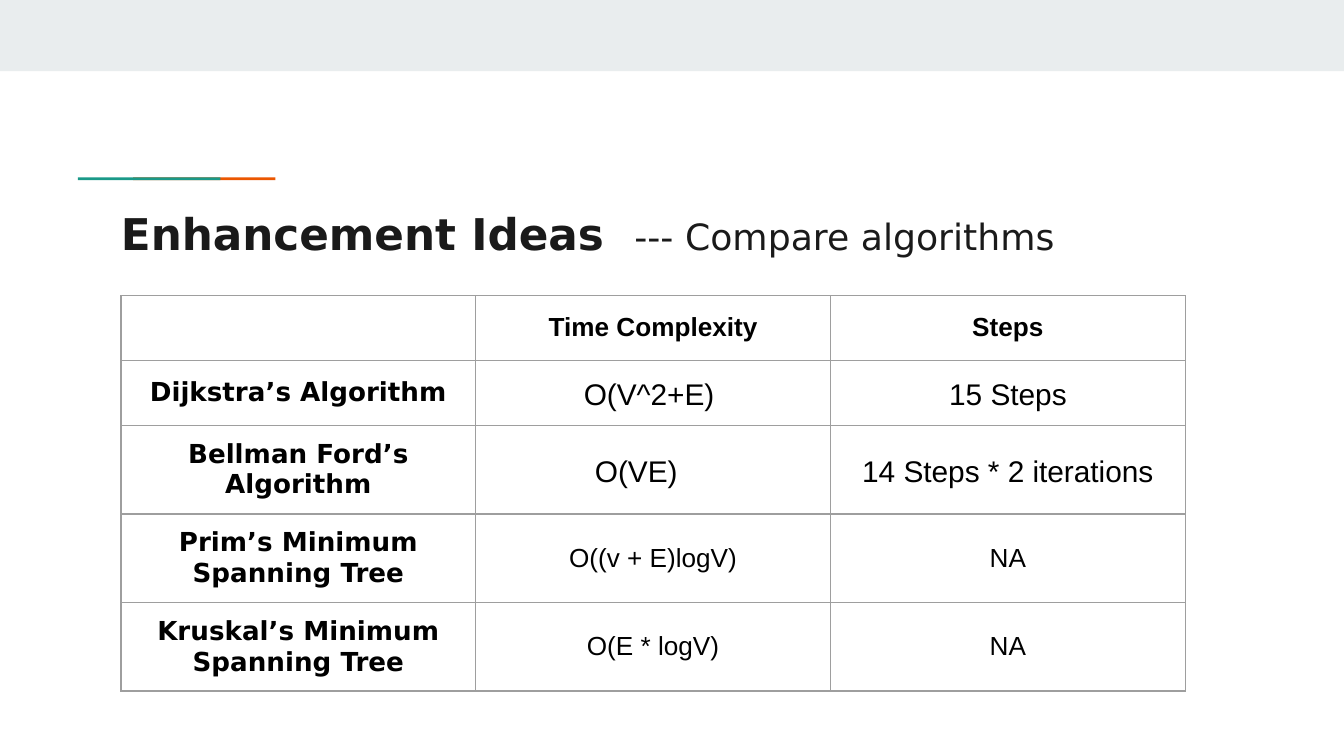
from lxml import etree
from pptx import Presentation
from pptx.dml.color import RGBColor
from pptx.enum.shapes import MSO_SHAPE
from pptx.enum.text import MSO_ANCHOR, MSO_AUTO_SIZE, PP_ALIGN
from pptx.oxml.ns import qn
from pptx.util import Inches, Pt

RECTANGLE = MSO_SHAPE.RECTANGLE
MIDDLE, TOP = MSO_ANCHOR.MIDDLE, MSO_ANCHOR.TOP
CENTER, LEFT = PP_ALIGN.CENTER, PP_ALIGN.LEFT
NO_AUTOFIT = MSO_AUTO_SIZE.NONE
TITLE_ONLY = 5
SLIDE_WIDTH = 10

HEADERS = ["", "Time Complexity", "Steps"]
ALGORITHMS = [
    ("Dijkstra’s Algorithm", "O(V^2+E)", "15 Steps"),
    ("Bellman Ford’s Algorithm", "O(VE)", "14 Steps * 2 iterations"),
    ("Prim’s Minimum Spanning Tree", "O((v + E)logV)", "NA"),
    ("Kruskal’s Minimum Spanning Tree", "O(E * logV)", "NA"),
]
ROW_HEIGHTS = [0.48, 0.48, 0.66, 0.66, 0.65]
LARGE_ROWS = (1, 2)
# Extra right margins that move a centred text to the left
RIGHT_INDENTS = {"O(V^2+E)": 0.06, "O(VE)": 0.25}


def color(hex_string):
    return RGBColor.from_string(hex_string)


class SlideBuilder:
    heading_font = "DejaVu Sans"
    body_font = "Arial"
    ink = "1A1A1A"
    black = "000000"
    grid = "9E9E9E"
    band = "E9EDEE"
    teal = "1A9988"
    orange = "EB5600"

    def __init__(self, slide):
        self.slide = slide

    def rectangle(self, left, top, width, height, fill):
        shape = self.slide.shapes.add_shape(
            RECTANGLE, Inches(left), Inches(top), Inches(width), Inches(height))
        shape.shadow.inherit = False
        shape.fill.solid()
        shape.fill.fore_color.rgb = color(fill)
        shape.line.fill.background()

    def title(self, left, top, width, height, parts):
        """Fill the title placeholder; parts are (text, size, bold)."""
        shape = self.slide.shapes.title
        shape.left, shape.top = Inches(left), Inches(top)
        shape.width, shape.height = Inches(width), Inches(height)
        frame = shape.text_frame
        frame.auto_size = NO_AUTOFIT
        frame.vertical_anchor = TOP
        frame.margin_left = frame.margin_right = Inches(0.1)
        frame.margin_top = frame.margin_bottom = Inches(0.1)
        paragraph = frame.paragraphs[0]
        paragraph.alignment = LEFT
        for text, size, bold in parts:
            run = paragraph.add_run()
            run.text = text
            run.font.name = self.heading_font
            run.font.size = Pt(size)
            run.font.bold = bold
            run.font.color.rgb = color(self.ink)

    def table(self, left, top, column_width, row_heights, rows):
        column_count = len(rows[0])
        table = self.slide.shapes.add_table(
            len(rows), column_count, Inches(left), Inches(top),
            Inches(column_width * column_count), Inches(sum(row_heights))).table
        table.first_row = table.horz_banding = False
        for column in table.columns:
            column.width = Inches(column_width)
        for row, height in zip(table.rows, row_heights):
            row.height = Inches(height)
        for row_index, row in enumerate(rows):
            for column_index, text in enumerate(row):
                self.cell(table.cell(row_index, column_index), text,
                          row_index, column_index)

    def cell(self, cell, text, row_index, column_index):
        is_name = column_index == 0
        is_large = row_index in LARGE_ROWS and not is_name
        cell.vertical_anchor = MIDDLE
        cell.margin_left = cell.margin_top = cell.margin_bottom = Inches(0.1)
        cell.margin_right = Inches(0.1 + RIGHT_INDENTS.get(text, 0))
        paragraph = cell.text_frame.paragraphs[0]
        paragraph.text = text
        paragraph.alignment = CENTER
        font = paragraph.font
        font.name = self.heading_font if is_name else self.body_font
        font.size = Pt(16 if is_large else 14)
        font.bold = is_name or row_index == 0
        font.color.rgb = color(self.black)
        if is_large:
            paragraph.line_spacing = 1.15
            paragraph.space_before = paragraph.space_after = Pt(12)
        self.borders(cell)
        cell.fill.background()

    def borders(self, cell):
        properties = cell._tc.get_or_add_tcPr()
        for index, side in enumerate(("a:lnL", "a:lnR", "a:lnT", "a:lnB")):
            line = etree.Element(qn(side), w=str(Pt(0.75)))
            fill = etree.SubElement(line, qn("a:solidFill"))
            etree.SubElement(fill, qn("a:srgbClr"), val=self.grid)
            properties.insert(index, line)


def main():
    presentation = Presentation()
    presentation.slide_width = Inches(SLIDE_WIDTH)
    presentation.slide_height = Inches(SLIDE_WIDTH * 9 / 16)
    layout = presentation.slide_layouts[TITLE_ONLY]
    builder = SlideBuilder(presentation.slides.add_slide(layout))

    builder.rectangle(0, 0, SLIDE_WIDTH, 0.53, builder.band)
    builder.rectangle(0.99, 1.32, 1.06, 0.02, builder.orange)
    builder.rectangle(0.58, 1.32, 1.06, 0.02, builder.teal)
    builder.title(0.8, 1.44, 8.41, 0.59, [
        ("Enhancement Ideas  ", 23.4, True),
        ("--- Compare algorithms", 19.4, False),
    ])
    builder.table(0.9, 2.2, 2.64, ROW_HEIGHTS, [HEADERS, *ALGORITHMS])

    presentation.save("out.pptx")


if __name__ == "__main__":
    main()
